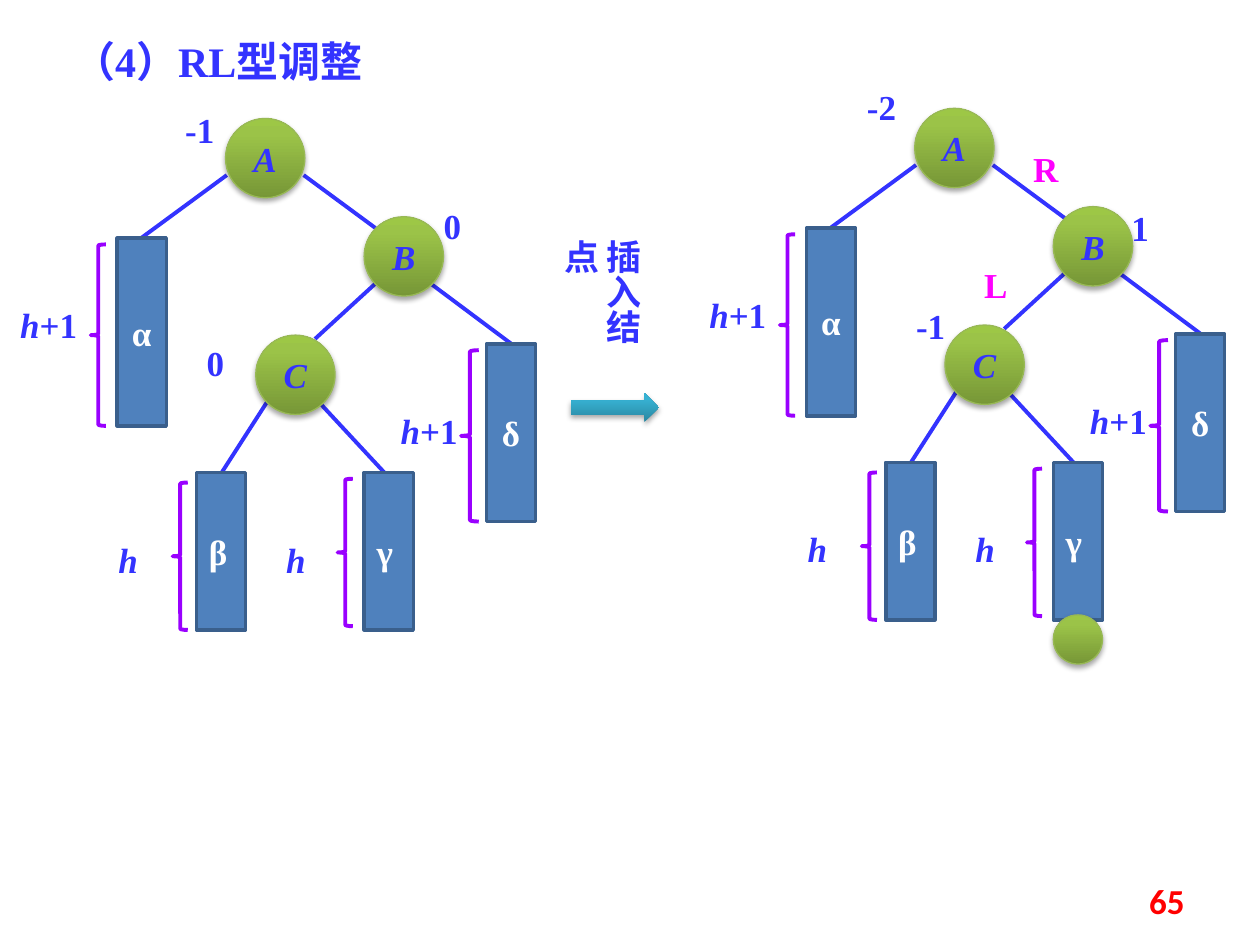
from copy import deepcopy

from lxml import etree
from pptx import Presentation
from pptx.dml.color import RGBColor
from pptx.enum.shapes import MSO_CONNECTOR, MSO_SHAPE
from pptx.enum.text import MSO_ANCHOR, MSO_AUTO_SIZE, PP_ALIGN
from pptx.oxml import parse_xml
from pptx.util import Inches, Pt

LEFT, CENTER, RIGHT = PP_ALIGN.LEFT, PP_ALIGN.CENTER, PP_ALIGN.RIGHT
JUSTIFY = PP_ALIGN.JUSTIFY
TOP, MIDDLE = MSO_ANCHOR.TOP, MSO_ANCHOR.MIDDLE
GROW = MSO_AUTO_SIZE.SHAPE_TO_FIT_TEXT
NO_FIT = MSO_AUTO_SIZE.NONE
STRAIGHT = MSO_CONNECTOR.STRAIGHT
RECTANGLE, OVAL = MSO_SHAPE.RECTANGLE, MSO_SHAPE.OVAL
LEFT_BRACE, RIGHT_ARROW = MSO_SHAPE.LEFT_BRACE, MSO_SHAPE.RIGHT_ARROW

BLUE = RGBColor(0x33, 0x33, 0xFF)
PURPLE = RGBColor(0x99, 0x00, 0xFF)
MAGENTA = RGBColor(0xFF, 0x00, 0xFF)
RED = RGBColor(0xFF, 0x00, 0x00)
WHITE = RGBColor(0xFF, 0xFF, 0xFF)
BOX_FILL = RGBColor(0x4F, 0x81, 0xBD)
BOX_LINE = RGBColor(0x3A, 0x5F, 0x8C)
NODE_LINE = RGBColor(0x98, 0xB9, 0x55)
GREENS = [RGBColor(0x77, 0x97, 0x37), RGBColor(0x9B, 0xC3, 0x48), RGBColor(0x9D, 0xC7, 0x46)]
TEALS = [RGBColor(0x2A, 0x88, 0xA2), RGBColor(0x37, 0xB1, 0xD2), RGBColor(0x34, 0xB4, 0xD6)]

SERIF = "Times New Roman"
DRAWING = "http://schemas.openxmlformats.org/drawingml/2006/main"
SHADOW = (
    f'<a:effectLst xmlns:a="{DRAWING}"><a:outerShdw blurRad="39370" dist="22860" '
    'dir="5400000" rotWithShape="0"><a:srgbClr val="000000"><a:alpha val="35000"/>'
    "</a:srgbClr></a:outerShdw></a:effectLst>"
)

NODE_SIZE = 0.63
NODES = {"A": (1.79, 0.94), "B": (2.89, 1.72), "C": (2.03, 2.66)}
EDGES = [
    (1.8, 1.39, 1.12, 1.89),
    (2.41, 1.39, 2.98, 1.81),
    (2.98, 2.25, 2.5, 2.69),
    (3.43, 2.26, 4.06, 2.73),
    (2.12, 3.19, 1.76, 3.75),
    (2.53, 3.19, 3.05, 3.75),
]
SUBTREES = [
    ("α", CENTER, (0.93, 1.89, 1.49), (0.72, 1.94, 0.12, 1.44), ("h", "+1"), (0.16, 2.41)),
    ("δ", CENTER, (3.86, 2.73, 1.41), (3.66, 2.78, 0.14, 1.36), ("h", "+1"), (3.18, 3.25)),
    ("β", LEFT, (1.56, 3.75, 1.25), (1.37, 3.83, 0.12, 1.17), ("h",), (0.94, 4.27)),
    ("γ", LEFT, (2.89, 3.75, 1.25), (2.68, 3.8, 0.12, 1.17), ("h",), (2.27, 4.27)),
]


def inches(*lengths):
    return [Inches(length) for length in lengths]


def format_run(run, color, size=20, font=SERIF, italic=False):
    run.font.name = font
    run.font.size = Pt(size)
    run.font.bold = True
    run.font.italic = italic
    run.font.color.rgb = color


def write(shape, text, color, alignment=LEFT, italic=False, **style):
    paragraph = shape.text_frame.paragraphs[0]
    paragraph.text = text
    paragraph.alignment = alignment
    format_run(paragraph.runs[0], color, italic=italic, **style)
    return paragraph


def add_label(slide, left, top, text, color=BLUE, italic=False, width=0.39):
    label = slide.shapes.add_textbox(*inches(left, top, width, 0.34))
    frame = label.text_frame
    frame.word_wrap = True
    frame.auto_size = GROW
    frame.margin_left = frame.margin_right = frame.margin_top = frame.margin_bottom = 0
    return write(label, text, color, italic=italic)


def add_shape(slide, kind, box, line_color=None, line_width=None):
    shape = slide.shapes.add_shape(kind, *inches(*box))
    shape.shadow.inherit = False
    if line_color is None:
        shape.line.fill.background()
    else:
        shape.line.color.rgb = line_color
        shape.line.width = Pt(line_width)
    return shape


def add_glossy_shape(slide, kind, box, colors, line_color=None):
    shape = add_shape(slide, kind, box, line_color, 0.75)
    shape.fill.gradient()
    shape.fill.gradient_angle = 90
    stop_list = shape._element.spPr.find(f".//{{{DRAWING}}}gsLst")
    stop_list.insert(1, deepcopy(stop_list[0]))
    for stop, position, color in zip(shape.fill.gradient_stops, (0, 0.8, 1), colors):
        stop.position = position
        stop.color.rgb = color
    properties = shape._element.spPr
    effects = properties.find(f"{{{DRAWING}}}effectLst")
    properties.replace(effects, parse_xml(SHADOW))
    return shape


def add_edge(slide, start_x, start_y, end_x, end_y):
    edge = slide.shapes.add_connector(STRAIGHT, *inches(start_x, start_y, end_x, end_y))
    edge.line.color.rgb = BLUE
    edge.line.width = Pt(2.25)
    etree.SubElement(edge._element.spPr, f"{{{DRAWING}}}effectLst")


def add_subtree(slide, left, top, name, alignment, bar, brace, height, height_at):
    bar_x, bar_y, bar_height = bar
    bar_box = (left + bar_x, top + bar_y, 0.39, bar_height)
    rectangle = add_shape(slide, RECTANGLE, bar_box, BOX_LINE, 2)
    rectangle.fill.solid()
    rectangle.fill.fore_color.rgb = BOX_FILL
    write(rectangle, name, WHITE, alignment)

    brace_x, brace_y, *brace_size = brace
    brace_box = (left + brace_x, top + brace_y, *brace_size)
    add_shape(slide, LEFT_BRACE, brace_box, PURPLE, 2.25).fill.background()

    variable, *increments = height
    width = 0.54 if increments else 0.39
    label_x, label_y = height_at
    paragraph = add_label(slide, left + label_x, top + label_y, variable, italic=True, width=width)
    for increment in increments:
        run = paragraph.add_run()
        run.text = increment
        format_run(run, BLUE)


def add_tree(slide, left, top, balances):
    for x1, y1, x2, y2 in EDGES:
        add_edge(slide, left + x1, top + y1, left + x2, top + y2)
    for name, alignment, *parts in SUBTREES:
        add_subtree(slide, left, top, name, alignment, *parts)
    for name, (x, y) in NODES.items():
        box = (left + x, top + y, NODE_SIZE, NODE_SIZE)
        node = add_glossy_shape(slide, OVAL, box, GREENS, NODE_LINE)
        write(node, name, BLUE, CENTER, italic=True)
    for text, x, y in balances:
        add_label(slide, x, y, text)


def add_insert_step(slide, left, top):
    add_glossy_shape(slide, RIGHT_ARROW, (left, top + 1.32, 0.7, 0.23), TEALS)
    caption = slide.shapes.add_textbox(*inches(left + 0.09, top, 0.54, 1.25))
    caption.text_frame.word_wrap = True
    caption.text_frame.auto_size = GROW
    caption.text_frame._txBody.bodyPr.set("vert", "eaVert")
    write(caption, "插入结点", BLUE)


def add_title(slide, left, top, width, height):
    title = slide.shapes.title
    title.left, title.top, title.width, title.height = inches(left, top, width, height)
    frame = title.text_frame
    frame.word_wrap = True
    frame.auto_size = NO_FIT
    frame.vertical_anchor = TOP
    frame.margin_left = Inches(0.27)
    write(title, "（4）RL型调整", BLUE, JUSTIFY, size=24)


def add_page_number(slide, left, top, width, height):
    number = slide.shapes.add_textbox(*inches(left, top, width, height))
    number.text_frame.word_wrap = True
    number.text_frame.vertical_anchor = MIDDLE
    write(number, "65", RED, RIGHT, font="Calibri")


def main():
    presentation = Presentation()
    presentation.slide_width, presentation.slide_height = inches(10, 7.5)
    slide = presentation.slides.add_slide(presentation.slide_layouts[5])
    add_title(slide, 0.31, 0.23, 3.37, 0.5)
    add_insert_step(slide, 4.53, 1.8)
    add_tree(slide, 0, 0, [("-1", 1.47, 0.86), ("0", 3.52, 1.62), ("0", 1.64, 2.71)])
    add_tree(slide, 5.47, -0.08, [("-2", 6.88, 0.68), ("1", 8.98, 1.64), ("-1", 7.27, 2.42)])
    add_glossy_shape(slide, OVAL, (8.36, 4.88, 0.39, 0.39), GREENS, NODE_LINE)
    add_label(slide, 8.2, 1.17, "R", MAGENTA)
    add_label(slide, 7.81, 2.09, "L", MAGENTA)
    add_page_number(slide, 7.17, 6.95, 2.33, 0.4)
    presentation.save("out.pptx")


if __name__ == "__main__":
    main()
